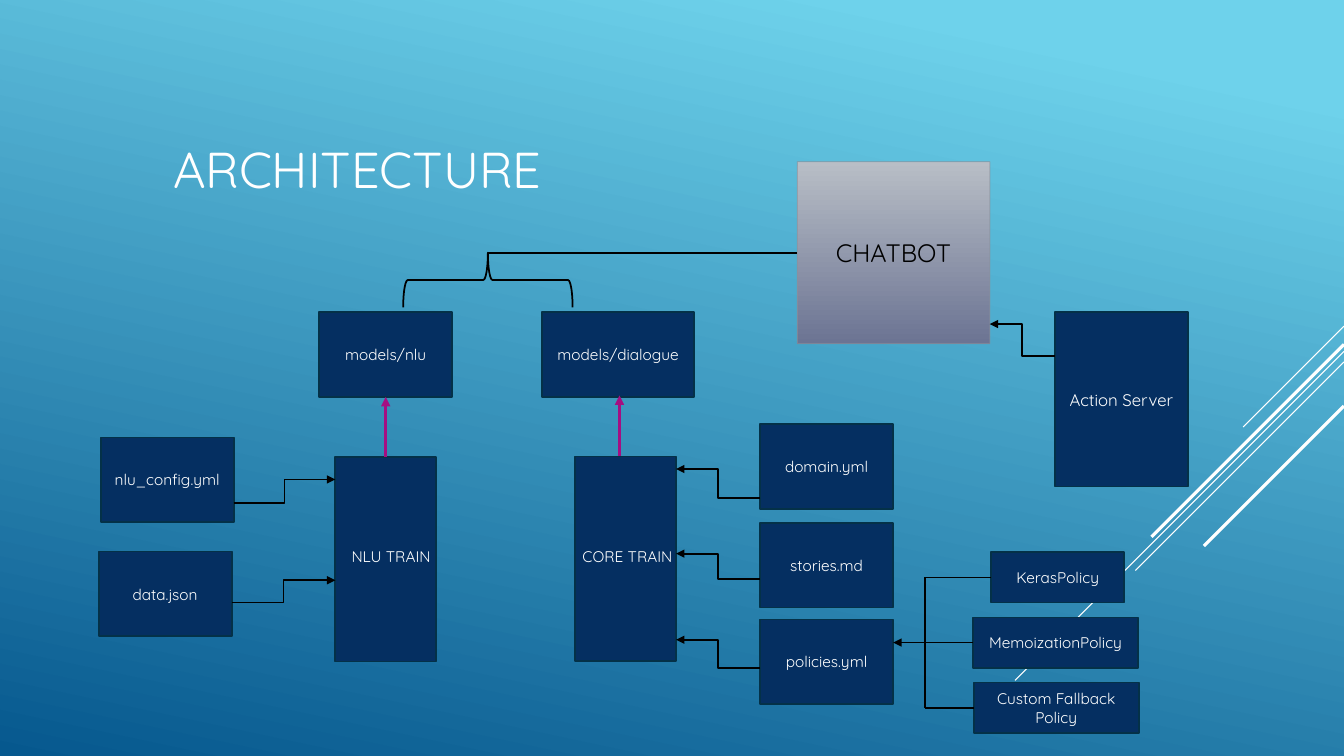
import dataclasses

import pptx
import pptx.dml.color
import pptx.enum.dml
import pptx.enum.shapes
import pptx.enum.text
import pptx.oxml.ns
import pptx.util
from lxml import etree

Pt = pptx.util.Pt
qn = pptx.oxml.ns.qn
SHAPES = pptx.enum.shapes.MSO_SHAPE
CONNECTORS = pptx.enum.shapes.MSO_CONNECTOR
ALIGN = pptx.enum.text.PP_ALIGN
MIDDLE = pptx.enum.text.MSO_ANCHOR.MIDDLE
TOP, LEFT, BOTTOM = 0, 1, 2

FONT = "Quicksand"
COLOURS = {
    "sky": "6ED2EB", "deep": "06588E", "navy": "052F61", "edge": "043148",
    "white": "FFFFFF", "black": "000000", "magenta": "A50E82",
    "silver": "B8BEC6", "slate": "6C7493", "grey": "89919C",
}
FILE_WIDTH, FILE_HEIGHT = 95, 60.5
TRAIN_WIDTH, TRAIN_HEIGHT = 72, 146


@dataclasses.dataclass
class Box:
    left: float
    top: float
    width: float
    height: float

    def inner(self, left, top, width, height):
        return Box(self.left + left, self.top + top, width, height)

    def lengths(self):
        return [Pt(value) for value in dataclasses.astuple(self)]


def colour(name):
    return pptx.dml.color.RGBColor.from_string(COLOURS[name])


def set_gradient(fill, angle, stops):
    """Angle is counter-clockwise; stops are (position, colour name)."""
    fill.gradient()
    fill.gradient_angle = angle
    for stop, (position, name) in zip(fill.gradient_stops, stops):
        stop.position = position
        stop.color.rgb = colour(name)


def write(frame, lines, size, name, align):
    for number, line in enumerate(lines):
        para = frame.paragraphs[0] if number == 0 else frame.add_paragraph()
        para.alignment = align
        span = para.add_run()
        span.text = line
        span.font.size = Pt(size)
        span.font.name = FONT
        span.font.color.rgb = colour(name)


def add_block(page, box, *lines, size=11, text_colour="white"):
    block = page.shapes.add_shape(SHAPES.RECTANGLE, *box.lengths())
    block.shadow.inherit = False
    block.fill.solid()
    block.fill.fore_color.rgb = colour("navy")
    block.line.color.rgb = colour("edge")
    block.line.width = Pt(1.25)
    block.text_frame.vertical_anchor = MIDDLE
    write(block.text_frame, lines, size, text_colour, ALIGN.CENTER)
    return block


def add_line(page, start, end, name="black", width=1.25, arrow=False,
             kind=CONNECTORS.STRAIGHT):
    points = [Pt(value) for value in (*start, *end)]
    line = page.shapes.add_connector(kind, *points)
    line.line.color.rgb = colour(name)
    line.line.width = Pt(width)
    properties = line.element.spPr
    if arrow:
        etree.SubElement(properties.find(qn("a:ln")), qn("a:tailEnd"), type="triangle")
    etree.SubElement(properties, qn("a:effectLst"))
    return line


def add_elbow(page, start, end):
    return add_line(page, start, end, arrow=True, kind=CONNECTORS.ELBOW)


def add_backdrop(page, box):
    """Gradient and the diagonal strokes that run in from the right edge."""
    set_gradient(page.background.fill, 258, [(0.1, "sky"), (1, "deep")])
    right = box.left + box.width
    strokes = [(233, 72, 0.75), (251, 235, 0.75), (258.5, 149, 0.75),
               (246, 137.5, 2.25), (290, 100, 2.25)]
    for top, reach, width in strokes:
        start = (right, box.top + top)
        add_line(page, start, (right - reach, start[1] + reach), "white", width)


def add_title(page, box):
    title = page.shapes.title
    title.left, title.top, title.width, title.height = box.lengths()
    title.text_frame.vertical_anchor = MIDDLE
    write(title.text_frame, ["ARCHITECTURE"], 36, "white", ALIGN.LEFT)


def add_trainer(page, box, label, label_box):
    trainer = add_block(page, box)
    caption = page.shapes.add_textbox(*label_box.lengths())
    caption.text_frame.word_wrap = True
    write(caption.text_frame, [label], 11, "white", ALIGN.LEFT)
    return trainer


def add_nlu(page, box):
    train = box.inner(169.5, 103.5, TRAIN_WIDTH, TRAIN_HEIGHT)
    trainer = add_trainer(page, train, "NLU TRAIN", box.inner(174, 164, 135, 21))
    model = add_block(page, box.inner(158, 0, FILE_WIDTH, FILE_HEIGHT), "models/nlu")
    files = [("nlu_config.yml", 2, 89.5, 47, 16), ("data.json", 0.5, 171, 36.5, 88)]
    for name, left, top, exit_at, entry_at in files:
        file_box = box.inner(left, top, FILE_WIDTH, FILE_HEIGHT)
        add_block(page, file_box, name)
        add_elbow(page, (file_box.left + FILE_WIDTH, file_box.top + exit_at),
                  (train.left, train.top + entry_at))
    arrow = add_line(page, (train.left + 36, train.top), (train.left + 36, box.top),
                     "magenta", 2.25, arrow=True)
    arrow.begin_connect(trainer, TOP)
    arrow.end_connect(model, BOTTOM)


def add_core(page, box):
    train = box.inner(24, 103, TRAIN_WIDTH, TRAIN_HEIGHT)
    add_trainer(page, train, "CORE TRAIN", box.inner(22, 164, 83.5, 21))
    add_block(page, box.inner(0, 0, 109, FILE_HEIGHT), "models/dialogue")
    files = [("domain.yml", 80, 52.5, 20.5), ("stories.md", 150.5, 40, 18),
             ("policies.yml", 219.5, 34.5, 20)]
    for name, top, exit_at, rise in files:
        file_box = box.inner(156, top, FILE_WIDTH, FILE_HEIGHT)
        add_block(page, file_box, name)
        exit_y = file_box.top + exit_at
        add_elbow(page, (file_box.left, exit_y), (train.left + TRAIN_WIDTH, exit_y - rise))
    arrow_x = box.left + 55.5
    add_line(page, (arrow_x, train.top), (arrow_x, box.top + FILE_HEIGHT - 1),
             "magenta", 2.25, arrow=True)


def add_policies(page, box):
    """Three policy blocks gathered by a trunk into an arrow leaving at the left."""
    trunk_x = box.left + 23
    keras = add_block(page, box.inner(70, 0, 95, 36), "KerasPolicy")
    memoization = add_block(page, box.inner(57, 46.5, 118, 36), "MemoizationPolicy")
    fallback = add_block(page, box.inner(57.5, 93, 118, 36), "Custom Fallback", "Policy")
    middle_y = box.top + 64.5
    arrow = add_line(page, (box.left + 57, middle_y), (box.left, middle_y), arrow=True)
    arrow.begin_connect(memoization, LEFT)
    for policy, offset in ((keras, 18), (fallback, 111)):
        branch_y = box.top + offset
        branch = add_line(page, (box.left + 60, branch_y), (trunk_x, branch_y))
        branch.begin_connect(policy, LEFT)
        add_line(page, (trunk_x, branch_y), (trunk_x, middle_y))


def add_chatbot(page, box):
    """Chatbot square, its action server and the brace over both models."""
    square = box.inner(281.5, 0, 137.5, 130)
    chatbot = add_block(page, square, "CHATBOT", size=18, text_colour="black")
    set_gradient(chatbot.fill, 270, [(0, "silver"), (1, "slate")])
    chatbot.line.color.rgb = colour("grey")
    chatbot.line.width = Pt(0.75)
    edge = chatbot.element.spPr.find(qn("a:ln")).find(".//" + qn("a:srgbClr"))
    etree.SubElement(edge, qn("a:alpha"), val="60000")

    brace = page.shapes.add_shape(SHAPES.RIGHT_BRACE,
                                  *box.inner(41, 24, 39, 121).lengths())
    brace.rotation = 270
    brace.shadow.inherit = False
    brace.fill.background()
    brace.line.color.rgb = colour("black")
    brace.line.width = Pt(1.25)
    link_y = box.top + 65
    link = add_line(page, (box.left + 60.5, link_y), (square.left, link_y))
    link.end_connect(chatbot, LEFT)

    server = box.inner(465.5, 107.5, 95, 124.5)
    add_block(page, server, "Action Server", size=12)
    add_elbow(page, (server.left, server.top + 31.5),
              (square.left + square.width, server.top + 8.5))


def main():
    deck = pptx.Presentation()
    deck.slide_width, deck.slide_height = Pt(960), Pt(540)
    page = deck.slides.add_slide(deck.slide_layouts[5])
    add_backdrop(page, Box(0, 0, 960, 540))
    add_title(page, Box(116.5, 60.5, 672, 119))
    add_nlu(page, Box(70, 223, 253, 250))
    add_core(page, Box(387, 223, 251, 280))
    add_chatbot(page, Box(288, 115.5, 561, 232))
    add_policies(page, Box(638, 394.5, 176, 129))
    deck.save("out.pptx")


if __name__ == "__main__":
    main()
